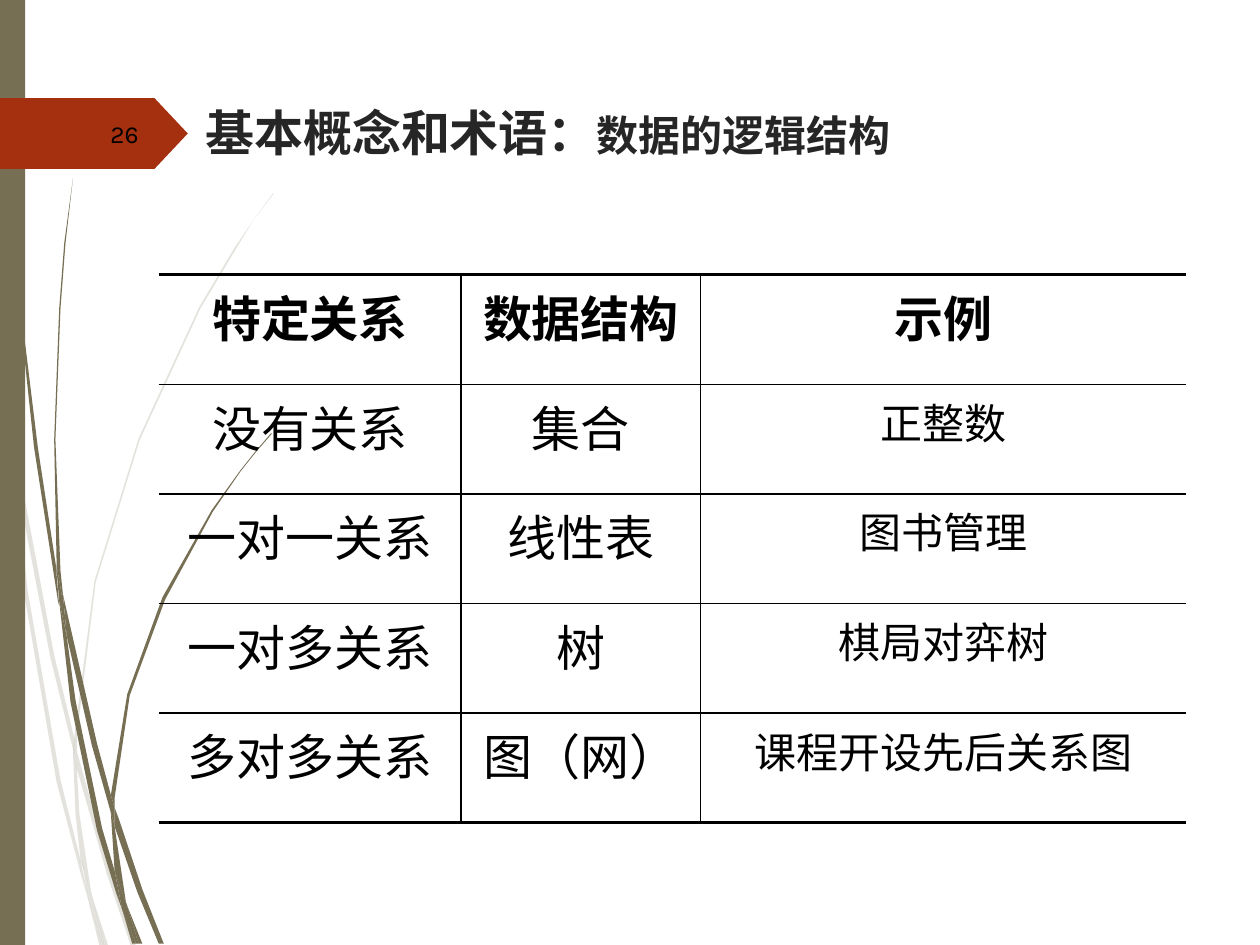
"""Builds a slide with a table of the logical structures of data."""
from lxml import etree
from pptx import Presentation
from pptx.dml.color import RGBColor
from pptx.enum.shapes import MSO_SHAPE as Shape
from pptx.enum.text import MSO_ANCHOR as Anchor, MSO_AUTO_SIZE as AutoSize, PP_ALIGN as Align
from pptx.oxml.ns import qn
from pptx.util import Inches, Pt

COLORS = {"olive": "766F54", "rust": "A53010", "title": "262626", "black": "000000"}

PALE_WISPS = [
    [(8, 350), (6, 322), (0, 282), (0, 299), (7, 344)],
    [(40, 522), (59, 599), (59, 586), (43, 520), (10, 345), (12, 376)],
    [(64, 607), (61, 596), (61, 610), (85, 694), (104, 751), (108, 751), (88, 692)],
    [(83, 751), (86, 751), (73, 711)],
    [(64, 683), (48, 619), (22, 469), (12, 376), (8, 350), (19, 470), (45, 621),
     (64, 693), (70, 714), (69, 707)],
    [(58, 599), (60, 646), (64, 683), (67, 692), (73, 711), (72, 706), (63, 646),
     (61, 610), (61, 608)],
    [(61, 584), (76, 462), (111, 349), (159, 245), (187, 198), (201, 175), (217, 154),
     (217, 153), (201, 175), (186, 197), (158, 244), (110, 348), (75, 461), (59, 584),
     (59, 586), (61, 596)],
    [(70, 714), (79, 751), (82, 751)],
    [(61, 608), (61, 610), (61, 596), (59, 586), (58, 599)],
    [(67, 692), (65, 683), (69, 707), (70, 714), (82, 751), (83, 751), (73, 711)],
]
DARK_WISPS = [
    [(5, 110), (14, 233), (27, 355), (46, 477), (47, 481), (45, 457), (45, 453),
     (30, 355), (15, 232), (6, 109), (4, 48), (3, 0), (2, 0), (3, 48)],
    [(73, 592), (88, 645), (88, 633), (88, 631), (77, 590), (50, 472), (53, 505)],
    [(94, 649), (91, 641), (91, 656), (109, 708), (126, 749), (130, 749), (113, 706)],
    [(91, 691), (81, 657), (60, 556), (53, 505), (47, 477), (56, 557), (77, 659),
     (92, 708), (97, 722), (96, 717)],
    [(50, 472), (48, 453), (44, 349), (48, 245), (52, 193), (58, 141), (51, 193),
     (47, 245), (43, 349), (45, 449), (49, 472)],
    [(110, 749), (113, 749), (101, 719)],
    [(47, 477), (53, 505), (50, 472), (49, 472), (45, 449), (45, 453)],
    [(91, 633), (103, 552), (131, 476), (169, 406), (191, 374), (203, 359), (216, 344),
     (215, 344), (203, 358), (191, 373), (168, 405), (129, 474), (101, 551), (88, 631),
     (91, 641)],
    [(97, 722), (105, 749), (108, 749)],
    [(88, 645), (91, 691), (96, 706), (101, 719), (100, 716), (91, 656), (90, 651)],
    [(88, 645), (90, 651), (91, 656), (91, 641), (88, 631), (88, 633)],
    [(96, 706), (91, 691), (96, 717), (97, 722), (108, 749), (110, 749), (101, 719)],
]

ROWS = [
    ("特定关系", "数据结构", "示例"),
    ("没有关系", "集合", "正整数"),
    ("一对一关系", "线性表", "图书管理"),
    ("一对多关系", "树", "棋局对弈树"),
    ("多对多关系", "图（网）", "课程开设先后关系图"),
]
COLUMN_WIDTHS = (2.4, 1.9, 3.85)
ROW_HEIGHT = 0.87


class SlideBuilder:
    """Holds the slide and its style, and adds each kind of element."""

    def __init__(self, slide):
        self.slide = slide
        self.font = "Karla"

    def style_run(self, run, size, color="black", bold=False, font=None):
        """Format one run of text."""
        run.font.name = font or self.font
        run.font.size = Pt(size)
        run.font.bold = bold
        run.font.color.rgb = RGBColor.from_string(COLORS[color])

    def paint(self, shape, color, opacity=None):
        """Give a shape a flat fill without line or shadow."""
        shape.shadow.inherit = False
        shape.line.fill.background()
        shape.fill.solid()
        shape.fill.fore_color.rgb = RGBColor.from_string(COLORS[color])
        if opacity:
            fill_color = shape.fill._xPr.find(f".//{qn('a:srgbClr')}")
            etree.SubElement(fill_color, qn("a:alpha"), val=str(opacity * 1000))

    def wisp(self, points, opacity=None):
        """Draw a blade of grass from points in hundredths of an inch."""
        builder = self.slide.shapes.build_freeform(*points[0], scale=Inches(0.01))
        builder.add_line_segments(points[1:], close=True)
        self.paint(builder.convert_to_shape(), "olive", opacity)

    def block(self, kind, left, top, width, height, color):
        """Draw a preset shape."""
        shape = self.slide.shapes.add_shape(
            kind, Inches(left), Inches(top), Inches(width), Inches(height))
        self.paint(shape, color)
        return shape

    def title(self, parts):
        """Fill the title placeholder with (text, size, font) parts."""
        title = self.slide.shapes.title
        title.left, title.top = Inches(1.53), Inches(0.76)
        title.width, title.height = Inches(7.2), Inches(1.4)
        frame = title.text_frame
        frame.auto_size = AutoSize.NONE
        frame.vertical_anchor = Anchor.TOP
        paragraph = frame.paragraphs[0]
        paragraph.alignment = Align.LEFT
        for text, size, font in parts:
            run = paragraph.add_run()
            run.text = text
            self.style_run(run, size, "title", True, font)

    def page_number(self, text):
        """Write the page number on the arrow tag."""
        box = self.slide.shapes.add_textbox(
            Inches(0.56), Inches(0.86), Inches(0.64), Inches(0.4))
        frame = box.text_frame
        frame.text = text
        frame.word_wrap = True
        frame.vertical_anchor = Anchor.MIDDLE
        frame.paragraphs[0].alignment = Align.RIGHT
        self.style_run(frame.paragraphs[0].runs[0], 14)

    def borders(self, cell, widths):
        """Set left, right, top and bottom borders, where 0 means none."""
        properties = cell._tc.get_or_add_tcPr()
        for index, (side, width) in enumerate(zip("LRTB", widths)):
            line = etree.Element(qn(f"a:ln{side}"), w=str(Pt(width)))
            if width:
                fill = etree.SubElement(line, qn("a:solidFill"))
                etree.SubElement(fill, qn("a:srgbClr"), val=COLORS["black"])
            else:
                etree.SubElement(line, qn("a:noFill"))
            properties.insert(index, line)

    def table(self, rows):
        """Add the ruled table, open at its left and right sides."""
        table = self.slide.shapes.add_table(
            len(rows), len(COLUMN_WIDTHS), Inches(1.26), Inches(2.18),
            Inches(sum(COLUMN_WIDTHS)), Inches(ROW_HEIGHT * len(rows))).table
        table.first_row = table.horz_banding = False
        for column, width in zip(table.columns, COLUMN_WIDTHS):
            column.width = Inches(width)
        last_row, last_column = len(rows) - 1, len(COLUMN_WIDTHS) - 1
        for row_index, texts in enumerate(rows):
            table.rows[row_index].height = Inches(ROW_HEIGHT)
            for column_index, text in enumerate(texts):
                cell = table.cell(row_index, column_index)
                cell.text = text
                cell.fill.background()
                paragraph = cell.text_frame.paragraphs[0]
                paragraph.alignment = Align.CENTER
                is_heading = row_index == 0
                is_example = column_index == last_column and not is_heading
                self.style_run(paragraph.runs[0], 24 if is_example else 28, bold=is_heading)
                self.borders(cell, (
                    1 if column_index > 0 else 0,
                    1 if column_index < last_column else 0,
                    2.25 if is_heading else 1,
                    2.25 if row_index == last_row else 1))


def main():
    """Build and save the slide."""
    presentation = Presentation()
    presentation.slide_width, presentation.slide_height = Inches(10), Inches(7.5)
    builder = SlideBuilder(presentation.slides.add_slide(presentation.slide_layouts[5]))
    for points in PALE_WISPS:
        builder.wisp(points, opacity=20)
    for points in DARK_WISPS:
        builder.wisp(points)
    builder.block(Shape.RECTANGLE, 0, 0, 0.2, 7.5, "olive")
    tag = builder.block(Shape.PENTAGON, 0, 0.78, 1.49, 0.56, "rust")
    tag.adjustments[0] = 0.47
    builder.title([("基本概念和术语：", 28, "Quicksand"),
                   ("数据的逻辑结构", 24, "Times New Roman")])
    builder.table(ROWS)
    builder.page_number("26")
    presentation.save("out.pptx")


if __name__ == "__main__":
    main()
